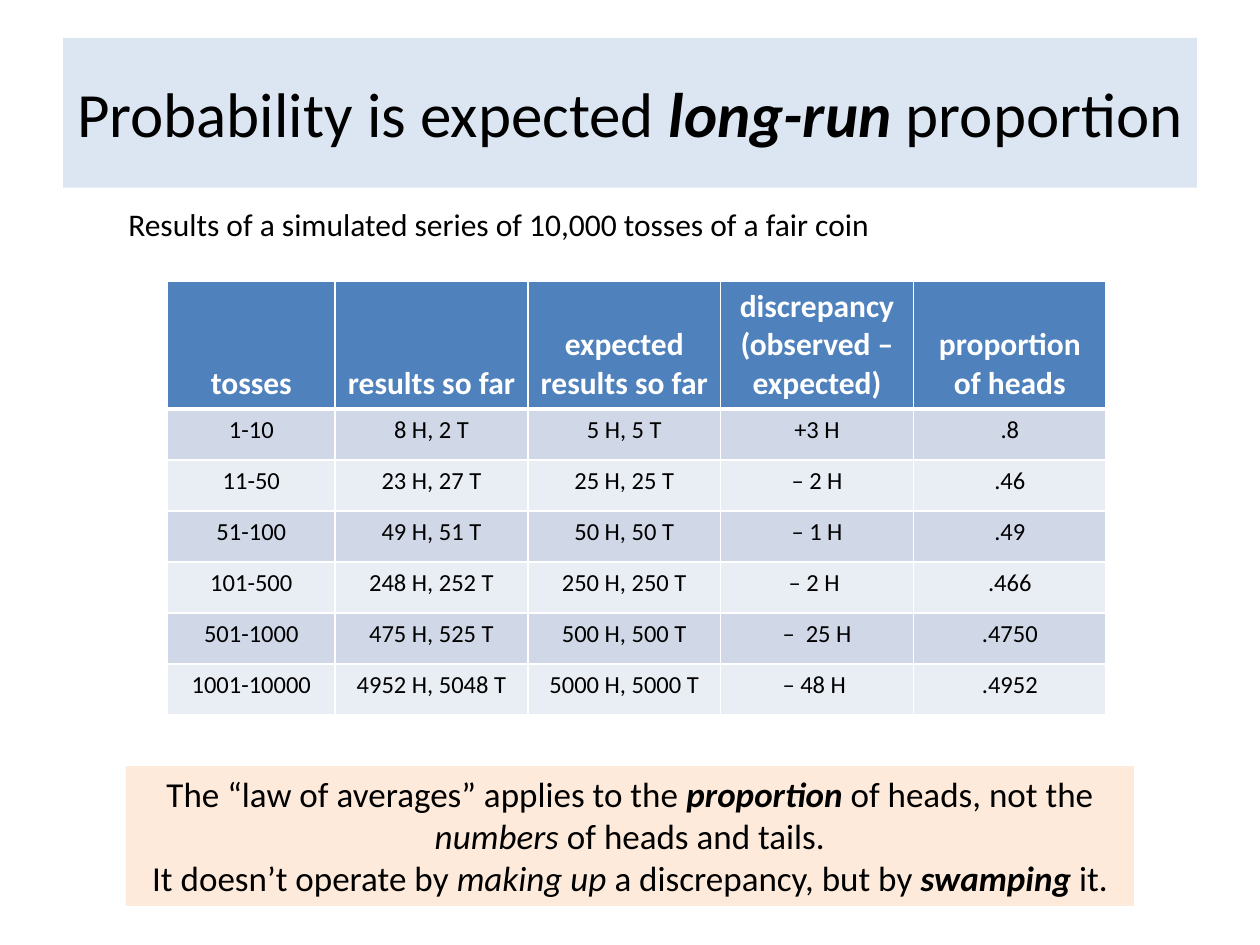
from lxml.etree import SubElement
from pptx import Presentation
from pptx.dml.color import RGBColor
from pptx.enum.shapes import MSO_SHAPE
from pptx.enum.text import MSO_ANCHOR, PP_ALIGN
from pptx.oxml.ns import qn
from pptx.util import Inches, Pt

FONT = "Calibri"
COLORS = {
    "text": "000000",
    "white": "FFFFFF",
    "title": "DCE6F2",
    "header": "4F81BD",
    "odd_row": "D0D8E8",
    "even_row": "E9EDF4",
    "conclusion": "FDEADA",
}

HEADERS = ["tosses", "results so far", "expected results so far",
           "discrepancy (observed – expected)", "proportion of heads"]
RESULTS = [
    ["1-10", "8 H, 2 T", "5 H, 5 T", "+3 H", ".8"],
    ["11-50", "23 H, 27 T", "25 H, 25 T", "– 2 H", ".46"],
    ["51-100", "49 H, 51 T", "50 H, 50 T", "– 1 H", ".49"],
    ["101-500", "248 H, 252 T", "250 H, 250 T", "– 2 H ", ".466"],
    ["501-1000", "475 H, 525 T", "500 H, 500 T", "–  25 H", ".4750"],
    ["1001-10000", "4952 H, 5048 T", "5000 H, 5000 T", "– 48 H ", ".4952"],
]

# Each span is its text and its style: "b" for bold, "i" for italic
TITLE = [("Probability is expected ", ""), ("long-run", "bi"), (" proportion", "")]
CAPTION = [("Results of a simulated series of 10,000 tosses of a fair coin", "")]
CONCLUSION = [
    [("The “law of averages” applies to the ", ""), ("proportion ", "bi"),
     ("of heads, not the ", ""), ("numbers ", "i"), ("of heads and tails.", "")],
    [("It doesn’t operate by ", ""), ("making up ", "i"),
     ("a discrepancy, but by ", ""), ("swamping", "bi"), (" it.", "")],
]


def rgb(name):
    return RGBColor.from_string(COLORS[name])


def paint(item, color):
    item.fill.solid()
    item.fill.fore_color.rgb = rgb(color)


def write(frame, paragraphs, size, align=PP_ALIGN.CENTER, color="text"):
    """Fill a text frame with paragraphs made of styled spans."""
    frame.word_wrap = True
    for index, spans in enumerate(paragraphs):
        para = frame.add_paragraph() if index else frame.paragraphs[0]
        para.alignment = align
        for text, style in spans:
            span = para.add_run()
            span.text = text
            span.font.name = FONT
            span.font.size = Pt(size)
            span.font.bold = "b" in style
            span.font.italic = "i" in style
            span.font.color.rgb = rgb(color)


def add_title(page):
    title = page.shapes.title
    title.left, title.top = Inches(0.5), Inches(0.3)
    title.width, title.height = Inches(9), Inches(1.19)
    paint(title, "title")
    title.text_frame.vertical_anchor = MSO_ANCHOR.MIDDLE
    write(title.text_frame, [TITLE], 36)


def add_caption(page):
    box = page.shapes.add_textbox(Inches(0.92), Inches(1.58), Inches(8.11), Inches(0.5))
    write(box.text_frame, [CAPTION], 18, PP_ALIGN.LEFT)


def add_conclusion(page):
    box = page.shapes.add_shape(MSO_SHAPE.RECTANGLE, Inches(1), Inches(6.08),
                                Inches(8), Inches(1.11))
    box.shadow.inherit = False
    box.line.fill.background()
    paint(box, "conclusion")
    box.text_frame.vertical_anchor = MSO_ANCHOR.TOP
    write(box.text_frame, CONCLUSION, 20)


def set_borders(cell, widths):
    """Draw white cell borders; widths maps a border tag to points."""
    properties = cell._tc.get_or_add_tcPr()
    for tag, width in widths.items():
        line = SubElement(properties, qn(f"a:{tag}"), w=str(Pt(width)))
        fill = SubElement(line, qn("a:solidFill"))
        SubElement(fill, qn("a:srgbClr"), val=COLORS["white"])


def add_results_table(page):
    rows = [HEADERS] + RESULTS
    header_height, row_height = Inches(1), Inches(2.43 / len(RESULTS))
    table = page.shapes.add_table(len(rows), len(HEADERS), Inches(1.33), Inches(2.23),
                                  Inches(7.47), Inches(3.43)).table
    for index, column in enumerate(table.columns):
        column.width = Inches(1.53 if index else 1.33)

    for row_index, values in enumerate(rows):
        is_header = row_index == 0
        table.rows[row_index].height = header_height if is_header else row_height
        if is_header:
            fill, size, style, color = "header", 18, "b", "white"
        else:
            fill = "odd_row" if row_index % 2 else "even_row"
            size, style, color = 14, "", "text"
        borders = {"lnL": 1, "lnR": 1,
                   "lnT": 3 if row_index == 1 else 1,
                   "lnB": 3 if is_header else 1}
        for column_index, value in enumerate(values):
            cell = table.cell(row_index, column_index)
            set_borders(cell, borders)
            paint(cell, fill)
            cell.vertical_anchor = MSO_ANCHOR.BOTTOM if is_header else MSO_ANCHOR.TOP
            write(cell.text_frame, [[(value, style)]], size, color=color)


def main():
    deck = Presentation()
    deck.slide_width, deck.slide_height = Inches(10), Inches(7.5)
    page = deck.slides.add_slide(deck.slide_layouts[5])
    add_title(page)
    add_results_table(page)
    add_caption(page)
    add_conclusion(page)
    deck.save("out.pptx")


main()
